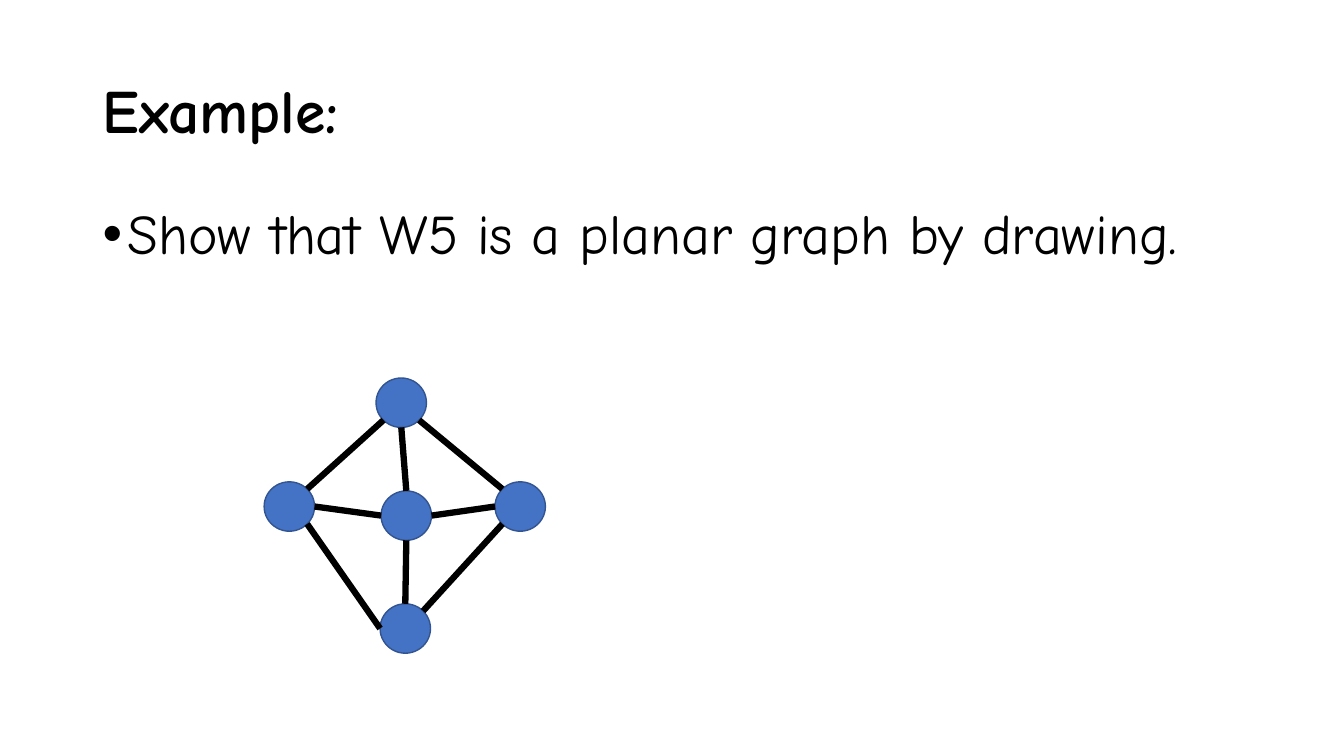
import math

import pptx
import pptx.dml.color
import pptx.enum.shapes
import pptx.enum.text
import pptx.oxml.ns
import pptx.util
from lxml import etree
from pptx.util import Inches

FONT = "Comic Neue"
BLACK = "000000"
NODE_FILL = "4472C4"
NODE_OUTLINE = "325491"
NODE_WIDTH, NODE_HEIGHT = 0.5, 0.49

# Left and top of each vertex of the wheel
VERTICES = {
    "west": (2.62, 4.78),
    "north": (3.73, 3.75),
    "south": (3.77, 5.99),
    "east": (4.91, 4.78),
    "hub": (3.78, 4.87),
}

# Each end is a vertex and the angle, clockwise from the right, where it is met
EDGES = [
    (("west", -45), ("north", 135)),
    (("south", -45), ("east", 135)),
    (("west", 45), ("south", 180)),
    (("east", -135), ("north", 45)),
    (("hub", -90), ("north", 90)),
    (("west", 0), ("hub", 180)),
    (("south", -90), ("hub", 90)),
    (("east", 180), ("hub", 0)),
]


def color(hex_string):
    return pptx.dml.color.RGBColor.from_string(hex_string)


def write_text(frame, text, *, size, bold=False, space_before=0,
               anchor=pptx.enum.text.MSO_ANCHOR.TOP):
    frame.word_wrap = True
    frame.auto_size = pptx.enum.text.MSO_AUTO_SIZE.NONE
    frame.vertical_anchor = anchor
    paragraph = frame.paragraphs[0]
    paragraph.alignment = pptx.enum.text.PP_ALIGN.LEFT
    paragraph.line_spacing = 0.9
    paragraph.space_before = pptx.util.Pt(space_before)
    run = paragraph.add_run()
    run.text = text
    run.font.name = FONT
    run.font.size = pptx.util.Pt(size)
    run.font.bold = bold
    run.font.color.rgb = color(BLACK)
    return paragraph


def add_bullet(paragraph, indent):
    properties = paragraph._p.get_or_add_pPr()
    properties.set("marL", str(indent))
    properties.set("indent", str(-indent))
    bullet_font = etree.SubElement(properties, pptx.oxml.ns.qn("a:buFont"))
    bullet_font.set("typeface", "Arial")
    bullet = etree.SubElement(properties, pptx.oxml.ns.qn("a:buChar"))
    bullet.set("char", "•")


def add_title(slide, text):
    title = slide.shapes.title
    title.left, title.top = Inches(0.92), Inches(0.4)
    title.width, title.height = Inches(11.5), Inches(1.45)
    write_text(title.text_frame, text, size=44, bold=True,
               anchor=pptx.enum.text.MSO_ANCHOR.MIDDLE)


def add_task(slide, text):
    task = slide.shapes.add_textbox(Inches(0.92), Inches(2), Inches(11.5), Inches(4.76))
    paragraph = write_text(task.text_frame, text, size=40, space_before=10)
    add_bullet(paragraph, Inches(0.25))


def add_vertex(slide, left, top):
    vertex = slide.shapes.add_shape(
        pptx.enum.shapes.MSO_SHAPE.OVAL,
        Inches(left), Inches(top), Inches(NODE_WIDTH), Inches(NODE_HEIGHT))
    vertex.shadow.inherit = False
    vertex.fill.solid()
    vertex.fill.fore_color.rgb = color(NODE_FILL)
    vertex.line.color.rgb = color(NODE_OUTLINE)
    vertex.line.width = pptx.util.Pt(1)


def rim_point(vertex, angle):
    """Return the point on a vertex's outline at the angle in degrees."""
    left, top = VERTICES[vertex]
    turn = math.radians(angle)
    return (Inches(left + NODE_WIDTH / 2 * (1 + math.cos(turn))),
            Inches(top + NODE_HEIGHT / 2 * (1 + math.sin(turn))))


def add_edge(slide, start, end):
    edge = slide.shapes.add_connector(
        pptx.enum.shapes.MSO_CONNECTOR.STRAIGHT, *rim_point(*start), *rim_point(*end))
    edge.line.color.rgb = color(BLACK)
    edge.line.width = pptx.util.Pt(4.5)
    etree.SubElement(edge._element.spPr, pptx.oxml.ns.qn("a:effectLst"))


def main():
    presentation = pptx.Presentation()
    presentation.slide_width = Inches(13.33)
    presentation.slide_height = Inches(7.5)
    slide = presentation.slides.add_slide(presentation.slide_layouts.get_by_name("Title Only"))

    add_title(slide, "Example:")
    add_task(slide, "Show that W5 is a planar graph by drawing.")
    for left, top in VERTICES.values():
        add_vertex(slide, left, top)
    for start, end in EDGES:
        add_edge(slide, start, end)

    presentation.save("out.pptx")


if __name__ == "__main__":
    main()
